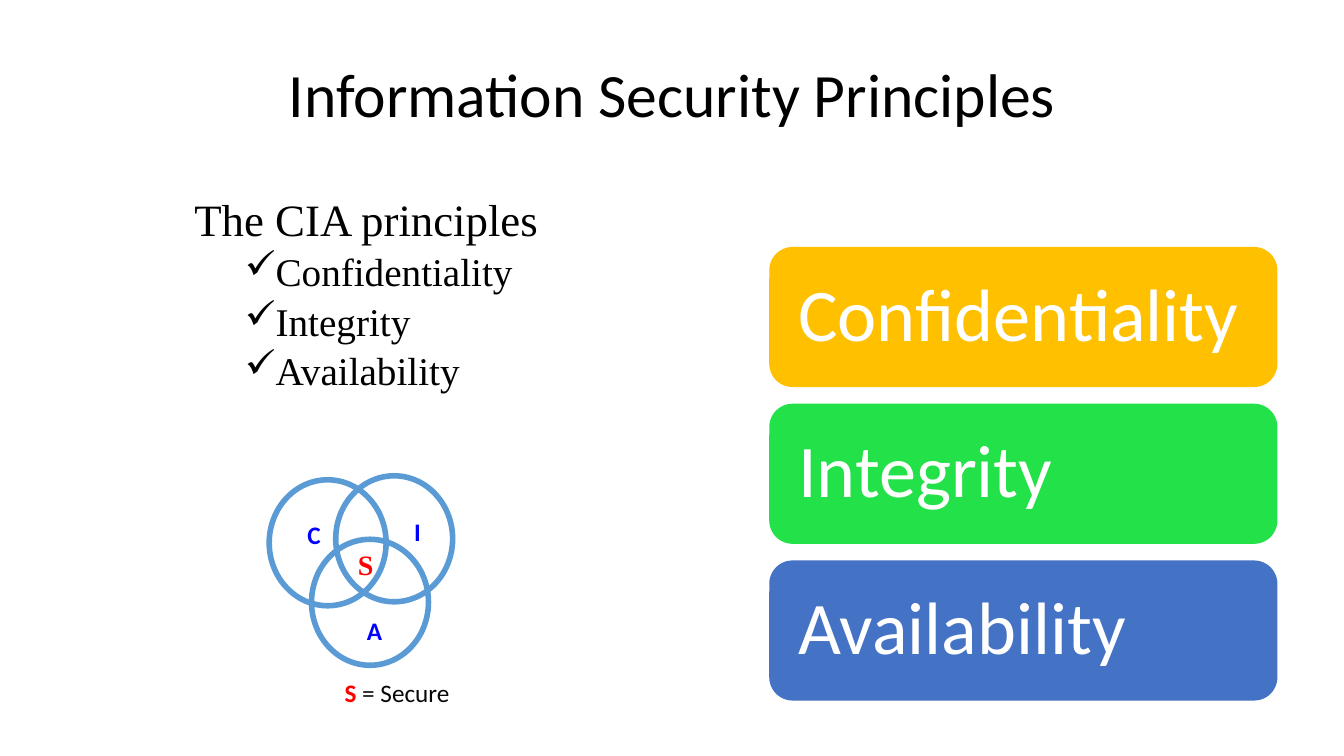
"""Build the slide on the information security principles."""
from lxml.etree import SubElement
from pptx import Presentation
from pptx.dml.color import RGBColor
from pptx.enum.shapes import MSO_SHAPE
from pptx.enum.text import MSO_ANCHOR, PP_ALIGN
from pptx.oxml.ns import qn
from pptx.util import Inches, Pt

BLACK = RGBColor(0x00, 0x00, 0x00)
WHITE = RGBColor(0xFF, 0xFF, 0xFF)
GOLD = RGBColor(0xFF, 0xC0, 0x00)
GREEN = RGBColor(0x23, 0xE1, 0x48)
BLUE = RGBColor(0x44, 0x72, 0xC4)
SKY = RGBColor(0x5B, 0x9B, 0xD5)
INK = RGBColor(0x00, 0x00, 0xFF)
RED = RGBColor(0xFF, 0x00, 0x00)
DARK = RGBColor(0x08, 0x08, 0x08)
SANS = "Calibri"
SERIF = "Times New Roman"
CARDS = [("Confidentiality", GOLD), ("Integrity", GREEN), ("Availability", BLUE)]
RINGS = [(2.67, 4.76), (3.33, 4.72), (3.09, 5.35)]
MARKS = [
    ("C", 2.95, 5.15, 0.28, 0.31, PP_ALIGN.CENTER),
    ("I", 4.01, 5.12, 0.25, 0.31, PP_ALIGN.CENTER),
    ("A", 3.54, 6.1, 0.29, 0.31, PP_ALIGN.LEFT),
]


def add_run(para, text, size, color, font=SANS, bold=False):
    """Add one styled run to a paragraph."""
    run = para.add_run()
    run.text = text
    run.font.size = Pt(size)
    run.font.name = font
    run.font.bold = bold
    run.font.color.rgb = color


def add_box(slide, left, top, width, height, wrap=True):
    """Add a text box and return its frame."""
    box = slide.shapes.add_textbox(
        Inches(left), Inches(top), Inches(width), Inches(height))
    box.text_frame.word_wrap = wrap
    return box.text_frame


def add_title(slide, text):
    """Add the centred slide title."""
    frame = add_box(slide, 0.92, 0.24, 11.5, 1.45)
    frame.vertical_anchor = MSO_ANCHOR.MIDDLE
    para = frame.paragraphs[0]
    para.alignment = PP_ALIGN.CENTER
    para.line_spacing = 0.9
    add_run(para, text, 44, BLACK)


def add_list(slide, head, items):
    """Add a heading with ticked items below it."""
    frame = add_box(slide, 1.83, 1.91, 5.5, 2.3)
    para = frame.paragraphs[0]
    para.line_spacing = 0.9
    add_run(para, head, 32, BLACK, SERIF)
    for item in items:
        para = frame.add_paragraph()
        para.level = 1
        props = para._p.get_or_add_pPr()
        props.set("marL", str(Inches(0.75)))
        props.set("indent", str(Inches(-0.25)))
        SubElement(props, qn("a:buChar")).set("char", "✓")
        para.line_spacing = 0.9
        para.space_before = Pt(5)
        add_run(para, item, 28, BLACK, SERIF)


def add_card(slide, top, text, color):
    """Add a rounded card with its label."""
    card = slide.shapes.add_shape(
        MSO_SHAPE.ROUNDED_RECTANGLE,
        Inches(7.63), Inches(top), Inches(5.04), Inches(1.39))
    card.shadow.inherit = False
    card.fill.solid()
    card.fill.fore_color.rgb = color
    card.line.fill.background()
    frame = card.text_frame
    frame.word_wrap = True
    frame.vertical_anchor = MSO_ANCHOR.MIDDLE
    frame.margin_left = frame.margin_right = Inches(0.22)
    para = frame.paragraphs[0]
    para.alignment = PP_ALIGN.LEFT
    para.line_spacing = 0.9
    add_run(para, text, 53, WHITE)


def add_ring(slide, left, top):
    """Add one open circle of the Venn diagram."""
    ring = slide.shapes.add_shape(
        MSO_SHAPE.OVAL, Inches(left), Inches(top), Inches(1.16), Inches(1.25))
    ring.shadow.inherit = False
    ring.fill.background()
    ring.line.color.rgb = SKY
    ring.line.width = Pt(4)


def add_mark(slide, text, left, top, width, height, align):
    """Add a blue letter inside a ring."""
    para = add_box(slide, left, top, width, height, False).paragraphs[0]
    para.alignment = align
    para.line_spacing = 0.85
    add_run(para, text, 18, INK, bold=True)


def add_venn(slide):
    """Add the rings, their letters and the key."""
    for left, top in RINGS:
        add_ring(slide, left, top)
    for mark in MARKS:
        add_mark(slide, *mark)
    para = add_box(slide, 3.45, 5.38, 0.29, 0.38, False).paragraphs[0]
    para.alignment = PP_ALIGN.CENTER
    add_run(para, "S", 20, RED, SERIF, True)
    para = add_box(slide, 3.32, 6.67, 1.64, 0.35).paragraphs[0]
    add_run(para, "S", 18, RED, bold=True)
    add_run(para, " = Secure", 18, DARK)


def main():
    """Build and save the deck."""
    deck = Presentation()
    deck.slide_width = Inches(13.33)
    deck.slide_height = Inches(7.5)
    slide = deck.slides.add_slide(deck.slide_layouts[6])
    add_title(slide, "Information Security Principles")
    add_list(slide, "The CIA principles", [text for text, _ in CARDS])
    for row, (text, color) in enumerate(CARDS):
        add_card(slide, 2.45 + 1.555 * row, text, color)
    add_venn(slide)
    deck.save("out.pptx")


if __name__ == "__main__":
    main()
